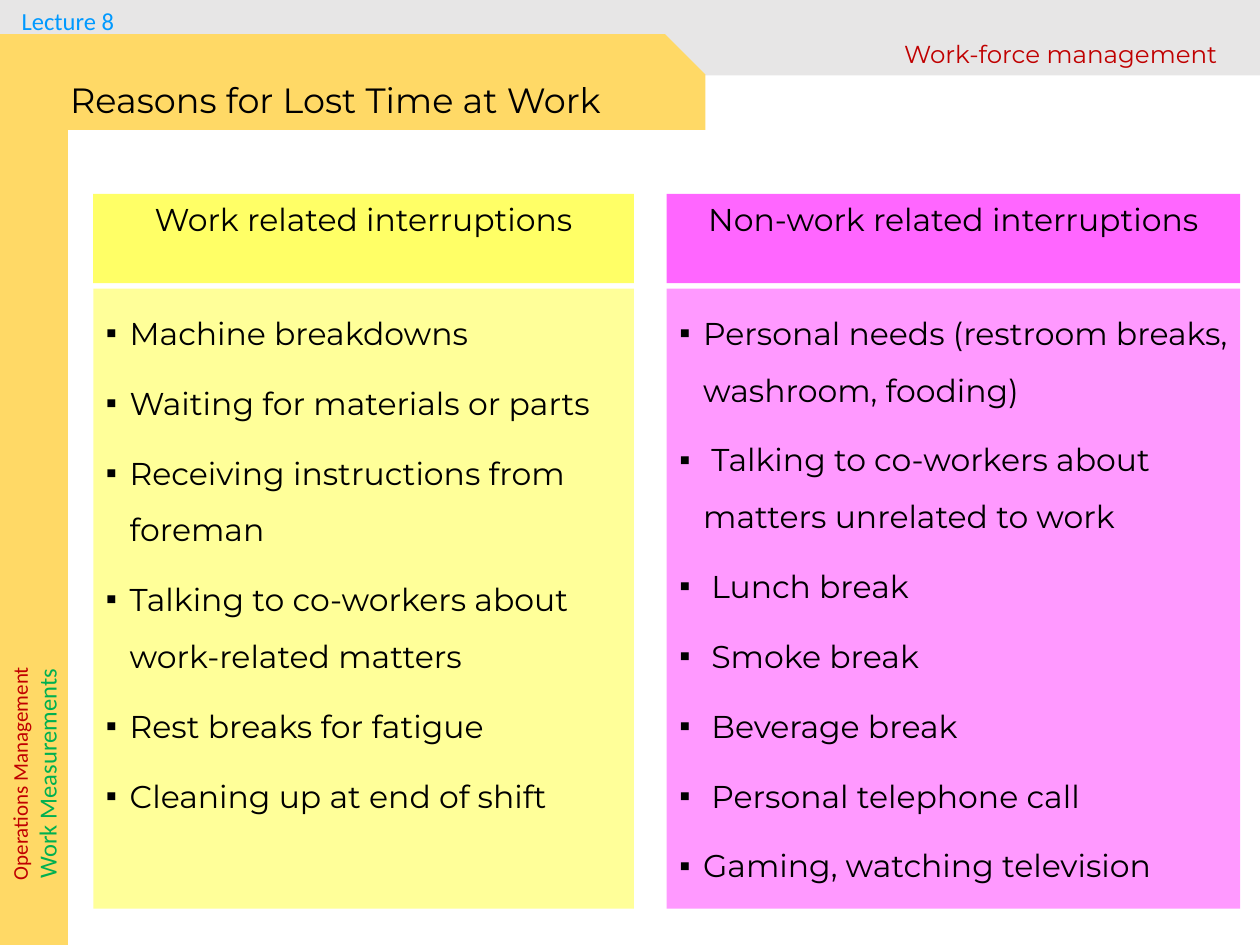
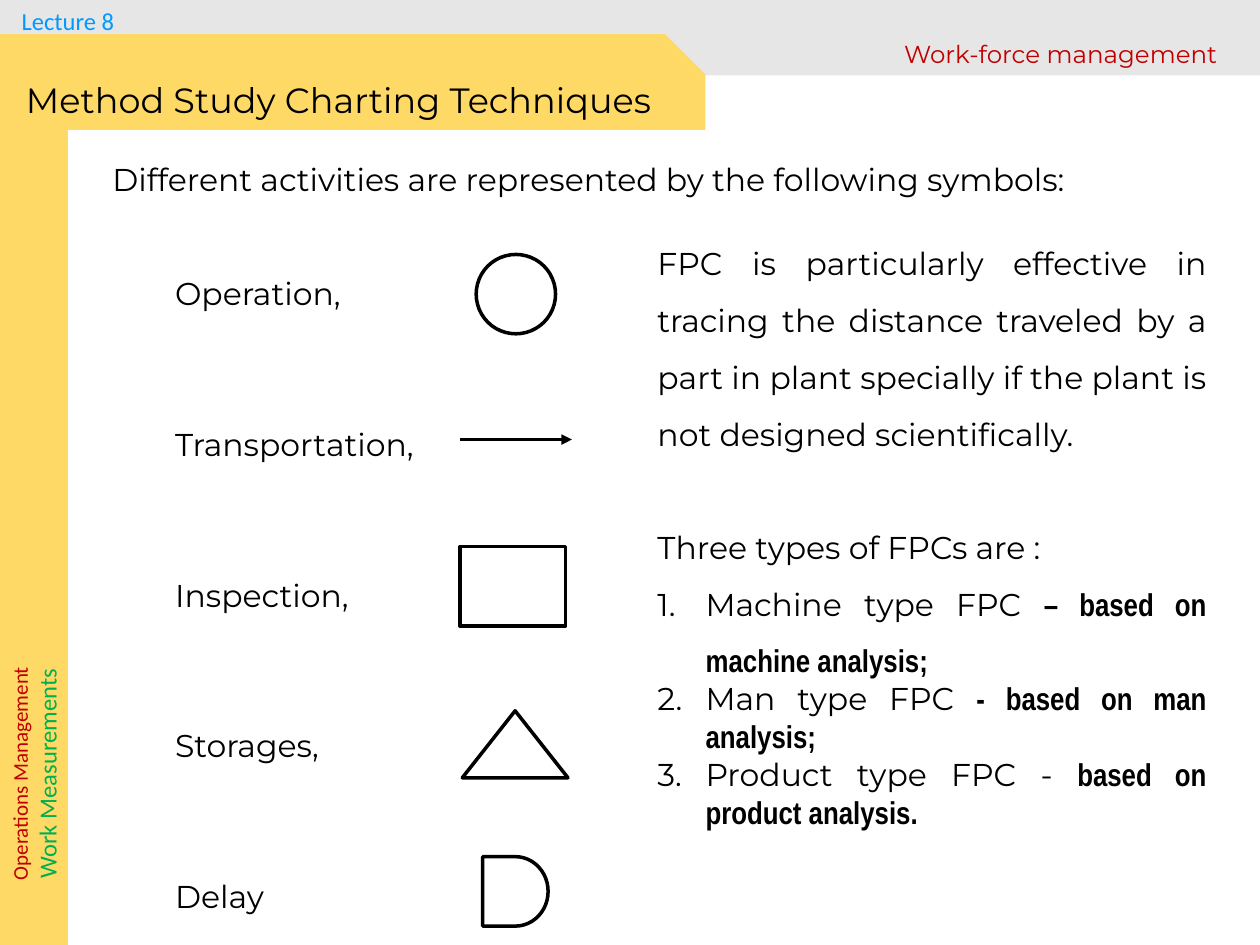
from dataclasses import dataclass, field

from pptx import Presentation
from pptx.dml.color import RGBColor
from pptx.enum.shapes import MSO_CONNECTOR as Connector, MSO_SHAPE as Shape
from pptx.enum.text import MSO_ANCHOR as Anchor, MSO_AUTO_SIZE as AutoSize, PP_ALIGN as Align
from pptx.oxml.ns import qn
from pptx.util import Cm, Pt
from lxml.etree import SubElement


@dataclass(frozen=True)
class Theme:
    """Colours, fonts and type sizes of the deck."""
    ink: str = "000000"
    grey: str = "E7E6E6"
    gold: str = "FFD966"
    red: str = "C00000"
    green: str = "00B050"
    blue: str = "0099FF"
    yellow_head: str = "FFFF66"
    yellow_list: str = "FFFF99"
    pink_head: str = "FF66FF"
    pink_list: str = "FF99FF"
    main_font: str = "Montserrat"
    side_font: str = "Calibri"
    narrow_font: str = "Arial Narrow"
    title_size: int = 20
    body_size: int = 18
    label_size: int = 14
    small_size: int = 12
    outline: int = 2


THEME = Theme()


@dataclass
class Span:
    """A stretch of text in one format."""
    text: str
    size: int = THEME.body_size
    color: str = THEME.ink
    font: str = THEME.main_font
    bold: bool = False


@dataclass
class Para:
    """A paragraph made of spans, with its layout."""
    spans: list
    align: Align = Align.LEFT
    spacing: float = 1.0
    before: float = 0
    indent: float = 0
    bullet: tuple = field(default=("a:buNone", {}))


SQUARE = ("a:buChar", {"char": "▪"})
NUMBER = ("a:buAutoNum", {"type": "arabicPeriod"})

WORK_REASONS = [
    "Machine breakdowns",
    "Waiting for materials or parts",
    "Receiving instructions from foreman",
    "Talking to co-workers about work-related matters",
    "Rest breaks for fatigue",
    "Cleaning up at end of shift",
]
OTHER_REASONS = [
    "Personal needs (restroom breaks, washroom, fooding)",
    " Talking to co-workers about matters unrelated to work",
    " Lunch break",
    " Smoke break",
    " Beverage break",
    " Personal telephone call",
    "Gaming, watching television",
]
ACTIVITIES = ["Operation,", "Transportation,", "Inspection,", "Storages,", "Delay"]
SYMBOLS = [
    (Shape.OVAL, (9.6, 5.13, 1.6, 1.6)),
    (Shape.RECTANGLE, (9.27, 11.02, 2.13, 1.6)),
    (Shape.ISOSCELES_TRIANGLE, (9.32, 14.33, 2.13, 1.35)),
    (Shape.FLOWCHART_DELAY, (9.73, 17.27, 1.32, 1.4)),
]
FPC_TYPES = [
    ("Machine type FPC ", "– based on machine analysis;", 1.5),
    ("Man type FPC ", "- based on man analysis;", 1.0),
    ("Product type FPC - ", "based on product analysis.", 1.0),
]


def set_values(target, values):
    """Set each named attribute of the target."""
    for name, value in values.items():
        setattr(target, name, value)


def place(shape, area):
    """Move and size a shape, in centimetres."""
    names = ("left", "top", "width", "height")
    set_values(shape, dict(zip(names, map(Cm, area))))


def paint(shape, color):
    """Give a shape a plain fill."""
    shape.fill.solid()
    shape.fill.fore_color.rgb = RGBColor.from_string(color)


def set_bullet(para, item):
    """Set the hanging indent and the bullet of a paragraph."""
    props = para._p.get_or_add_pPr()
    props.set("marL", str(Cm(item.indent)))
    props.set("indent", str(-Cm(item.indent)))
    tag, values = item.bullet
    if item.bullet == SQUARE:
        SubElement(props, qn("a:buFont"), typeface="Arial")
    SubElement(props, qn(tag), **values)


def write(shape, items, wrap=True):
    """Fill the text frame of a shape with paragraphs."""
    frame = shape.text_frame
    set_values(frame, {"word_wrap": wrap, "auto_size": AutoSize.NONE,
                       "vertical_anchor": Anchor.TOP})
    for index, item in enumerate(items):
        para = frame.add_paragraph() if index else frame.paragraphs[0]
        set_values(para, {"alignment": item.align, "line_spacing": item.spacing,
                          "space_before": Pt(item.before)})
        set_bullet(para, item)
        for span in item.spans:
            run = para.add_run()
            run.text = span.text
            set_values(run.font, {"size": Pt(span.size), "name": span.font, "bold": span.bold})
            run.font.color.rgb = RGBColor.from_string(span.color)


def add_text(page, area, items, wrap=True):
    """Add a text box."""
    box = page.shapes.add_textbox(*map(Cm, area))
    write(box, items, wrap)
    return box


def add_band(page, kind, area, color):
    """Add a filled shape without outline."""
    band = page.shapes.add_shape(kind, *map(Cm, area))
    band.shadow.inherit = False
    paint(band, color)
    band.line.fill.background()
    return band


def add_symbol(page, kind, area):
    """Add an outlined activity symbol."""
    symbol = page.shapes.add_shape(kind, *map(Cm, area))
    symbol.shadow.inherit = False
    symbol.fill.background()
    symbol.line.color.rgb = RGBColor.from_string(THEME.ink)
    symbol.line.width = Pt(THEME.outline)


def add_arrow(page, start, end):
    """Add a straight arrow between two points."""
    arrow = page.shapes.add_connector(Connector.STRAIGHT, *map(Cm, start + end))
    arrow.line.color.rgb = RGBColor.from_string(THEME.ink)
    arrow.line.width = Pt(THEME.outline)
    SubElement(arrow.line._get_or_add_ln(), qn("a:tailEnd"), type="triangle")
    SubElement(arrow.element.spPr, qn("a:effectLst"))


def add_frame(deck, page):
    """Build the bands and running labels and move them to the master."""
    grey = add_band(page, Shape.RECTANGLE, (0, 0, 25.4, 1.52), THEME.grey)
    tab = add_band(page, Shape.SNIP_1_RECTANGLE, (-0.03, 0.69, 14.25, 1.93), THEME.gold)
    tab.adjustments[0] = 0.42
    side = add_band(page, Shape.RECTANGLE, (-0.03, 2.21, 1.4, 16.84), THEME.gold)
    course = add_text(page, (-1.93, 14.91, 5.26, 1.37), [
        Para([Span("Operations Management", THEME.small_size, THEME.red, THEME.side_font)],
             Align.CENTER),
        Para([Span("Work Measurements", THEME.label_size, THEME.green, THEME.side_font)],
             Align.CENTER),
    ])
    course.rotation = 270
    lecture = add_text(page, (0.1, 0, 2.54, 0.86), [
        Para([Span("Lecture 8", THEME.label_size, THEME.blue, THEME.side_font)], Align.CENTER)])
    topic = add_text(page, (17.78, 0.66, 7.21, 0.86), [
        Para([Span("Work-force management", THEME.label_size, THEME.red)], Align.CENTER)],
        wrap=False)
    tree = deck.slide_master.shapes.element
    for index, shape in enumerate((grey, tab, side, course, lecture, topic)):
        shape.element.nvSpPr.cNvPr.set("id", str(100 + index))
        tree.insert(2 + index, shape.element)


def add_page(deck, title, left):
    """Add a page with a title and two body placeholders."""
    page = deck.slides.add_slide(deck.slide_layouts[3])
    place(page.shapes.title, (left, 1.46, 13.8, 1.12))
    write(page.shapes.title, [Para([Span(title, THEME.title_size)])])
    return page


def add_reasons(page, body, left, width, heading, reasons, colors):
    """Add a coloured heading above a coloured bullet list."""
    head_color, list_color = colors
    head = add_text(page, (left, 3.91, width, 1.8), [Para([Span(heading)], Align.CENTER)])
    paint(head, head_color)
    place(body, (left, 5.82, width, 12.5))
    paint(body, list_color)
    write(body, [Para([Span(reason)], spacing=1.5, before=7.5, indent=0.48, bullet=SQUARE)
                 for reason in reasons])


def build_lost_time(page):
    """Fill the page on lost time."""
    add_reasons(page, page.placeholders[1], 1.88, 10.9, "Work related interruptions",
                WORK_REASONS, (THEME.yellow_head, THEME.yellow_list))
    add_reasons(page, page.placeholders[2], 13.44, 11.56, "Non-work related interruptions",
                OTHER_REASONS, (THEME.pink_head, THEME.pink_list))


def build_charting(page):
    """Fill the page on charting symbols."""
    intro, notes = page.placeholders[1], page.placeholders[2]
    place(intro, (2.01, 3.1, 21.87, 1.02))
    write(intro, [Para([Span("Different activities are represented by the following symbols:")])])
    for row, activity in enumerate(ACTIVITIES):
        add_text(page, (3.28, 5.4 + 3.04 * row, 5.8, 1.02), [Para([Span(activity)])])
    for kind, area in SYMBOLS:
        add_symbol(page, kind, area)
    add_arrow(page, (9.27, 8.86), (11.53, 8.86))
    place(notes, (13, 4.42, 11.58, 13.72))
    write(notes, [
        Para([Span("FPC is particularly effective in tracing the distance traveled by a part "
                   "in plant specially if the plant is not designed scientifically.")],
             Align.JUSTIFY, 1.5),
        Para([Span("Three types of FPCs are :")], Align.JUSTIFY, 1.5, before=32.4),
    ] + [
        Para([Span(name), Span(basis, font=THEME.narrow_font, bold=True)],
             Align.JUSTIFY, spacing, indent=0.97, bullet=NUMBER)
        for name, basis, spacing in FPC_TYPES
    ])


def main():
    """Build the deck and save it."""
    deck = Presentation()
    set_values(deck, {"slide_width": Cm(25.4), "slide_height": Cm(19.05)})
    lost_time = add_page(deck, "Reasons for Lost Time at Work", 1.16)
    add_frame(deck, lost_time)
    build_lost_time(lost_time)
    build_charting(add_page(deck, "Method Study Charting Techniques", 0.27))
    deck.save("out.pptx")


if __name__ == "__main__":
    main()
